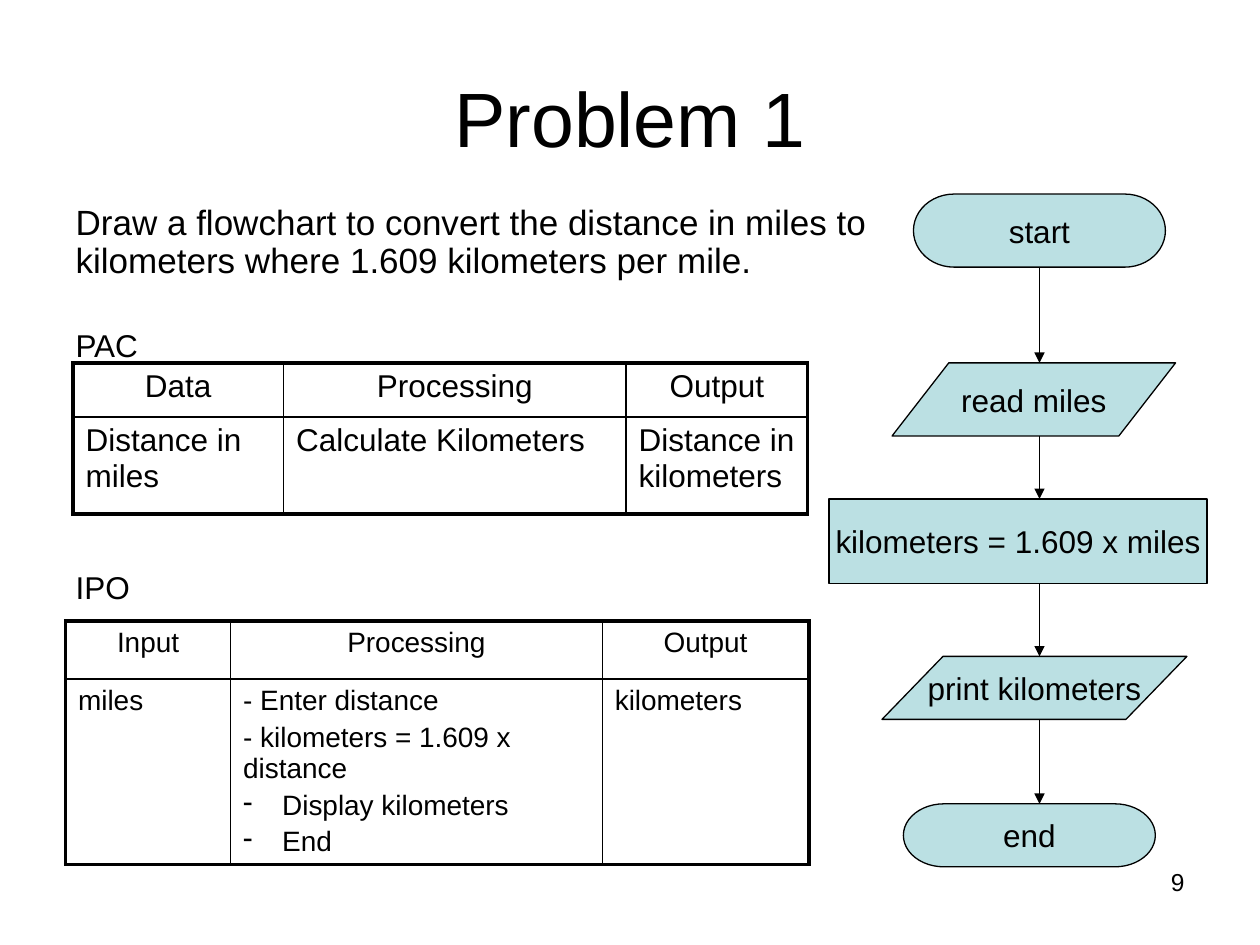
from itertools import pairwise

from lxml.etree import SubElement
from pptx import Presentation
from pptx.dml.color import RGBColor
from pptx.enum.shapes import MSO_CONNECTOR, MSO_SHAPE
from pptx.enum.text import MSO_ANCHOR, MSO_AUTO_SIZE, PP_ALIGN
from pptx.oxml.ns import qn
from pptx.util import Inches, Pt


def color(hex_string):
    return RGBColor.from_string(hex_string)


class SlideBuilder:
    font_name = "Arial"
    ink = "000000"
    box_fill = "BBE0E3"
    thin, thick = 1, 2.25

    def __init__(self, presentation):
        self.slide = presentation.slides.add_slide(presentation.slide_layouts[1])

    def add_text(self, paragraph, text, size, alignment=PP_ALIGN.LEFT, space_before=0):
        paragraph.alignment = alignment
        paragraph.space_before = Pt(space_before)
        run = paragraph.add_run()
        run.text = text
        run.font.size = Pt(size)
        run.font.name = self.font_name
        run.font.color.rgb = color(self.ink)

    def place(self, shape, left, top, width, height):
        shape.left, shape.top = Inches(left), Inches(top)
        shape.width, shape.height = Inches(width), Inches(height)

    def bullet(self, paragraph, indent, character=None):
        """Set a hanging bullet, or no bullet when there is no character."""
        properties = paragraph._p.get_or_add_pPr()
        properties.set("marL", str(Inches(indent)))
        properties.set("indent", str(-Inches(indent)))
        if character:
            SubElement(properties, qn("a:buChar")).set("char", character)
        else:
            SubElement(properties, qn("a:buNone"))

    def title(self, text, *bounds):
        shape = self.slide.shapes.title
        self.place(shape, *bounds)
        shape.text_frame.vertical_anchor = MSO_ANCHOR.MIDDLE
        self.add_text(shape.text_frame.paragraphs[0], text, 44, PP_ALIGN.CENTER)

    def body(self, items, *bounds):
        """Fill the body from (text, size, space before) items."""
        shape = self.slide.placeholders[1]
        self.place(shape, *bounds)
        frame = shape.text_frame
        frame.auto_size = MSO_AUTO_SIZE.NONE
        for index, (text, size, space_before) in enumerate(items):
            paragraph = frame.add_paragraph() if index else frame.paragraphs[0]
            self.bullet(paragraph, 0)
            paragraph.line_spacing = 0.9
            self.add_text(paragraph, text, size, space_before=space_before)

    def slide_number(self, text, *bounds):
        box = self.slide.shapes.add_textbox(*map(Inches, bounds))
        box.text_frame.word_wrap = True
        self.add_text(box.text_frame.paragraphs[0], text, 14, PP_ALIGN.RIGHT)

    def borders(self, cell, widths):
        """Add the left, right, top and bottom lines, which come before the fill."""
        properties = cell._tc.get_or_add_tcPr()
        for index, (side, width) in enumerate(zip("LRTB", widths)):
            line = SubElement(properties, qn(f"a:ln{side}"), w=str(Pt(width)))
            fill = SubElement(line, qn("a:solidFill"))
            SubElement(fill, qn("a:srgbClr"), val=self.ink)
            properties.insert(index, line)

    def table(self, left, top, columns, heights, rows, size):
        """Add a table whose cells are lists of lines; a tab after "-" marks a bullet."""
        frame = self.slide.shapes.add_table(
            len(rows), len(columns), Inches(left), Inches(top),
            Inches(sum(columns)), Inches(sum(heights)))
        table = frame.table
        table.first_row = table.horz_banding = False
        for column, width in zip(table.columns, columns):
            column.width = Inches(width)
        for row, height in zip(table.rows, heights):
            row.height = Inches(height)
        last_row, last_column = len(rows) - 1, len(columns) - 1
        for r, row in enumerate(rows):
            alignment = PP_ALIGN.LEFT if r else PP_ALIGN.CENTER
            for c, lines in enumerate(row):
                cell = table.cell(r, c)
                cell.fill.background()
                outer = (c == 0, c == last_column, r == 0, r == last_row)
                self.borders(cell, [self.thick if edge else self.thin for edge in outer])
                for index, line in enumerate(lines):
                    text_frame = cell.text_frame
                    paragraph = text_frame.add_paragraph() if index else text_frame.paragraphs[0]
                    if line.startswith("-\t"):
                        self.bullet(paragraph, 0.31, "-")
                    self.add_text(paragraph, line.removeprefix("-\t"), size, alignment,
                                  0.2 * size if index else 0)

    def flow_box(self, kind, text, *bounds):
        shape = self.slide.shapes.add_shape(kind, *map(Inches, bounds))
        shape.shadow.inherit = False
        shape.fill.solid()
        shape.fill.fore_color.rgb = color(self.box_fill)
        shape.line.color.rgb = color(self.ink)
        shape.line.width = Pt(0.75)
        shape.text_frame.word_wrap = False
        shape.text_frame.vertical_anchor = MSO_ANCHOR.MIDDLE
        self.add_text(shape.text_frame.paragraphs[0], text, 18, PP_ALIGN.CENTER)
        return shape

    def arrow_down(self, x, start, end):
        arrow = self.slide.shapes.add_connector(
            MSO_CONNECTOR.STRAIGHT, Inches(x), start, Inches(x), end)
        arrow.line.color.rgb = color(self.ink)
        arrow.line.width = Pt(0.75)
        SubElement(arrow.line._get_or_add_ln(), qn("a:tailEnd"), type="triangle")
        SubElement(arrow._element.spPr, qn("a:effectLst"))


def main():
    presentation = Presentation()
    presentation.slide_width, presentation.slide_height = Inches(10), Inches(7.5)
    builder = SlideBuilder(presentation)

    builder.title("Problem 1", 0.5, 0.3, 9, 1.25)
    builder.body([
        ("Draw a flowchart to convert the distance in miles to kilometers "
         "where 1.609 kilometers per mile.", 20, 0),
        ("PAC", 18, 28),
        ("IPO", 18, 119),
    ], 0.5, 1.58, 6.5, 5.12)

    builder.table(0.52, 4.93, [1.31, 2.95, 1.64], [0.46, 1.47], [
        [["Input"], ["Processing"], ["Output"]],
        [["miles"],
         ["- Enter distance", "- kilometers = 1.609 x distance",
          "-\tDisplay kilometers", "-\tEnd"],
         ["kilometers"]],
    ], 16)
    builder.slide_number("9", 7.17, 6.83, 2.33, 0.52)
    builder.table(0.58, 2.88, [1.67, 2.72, 1.44], [0.43, 0.77], [
        [["Data"], ["Processing"], ["Output"]],
        [["Distance in miles"], ["Calculate Kilometers"], ["Distance in kilometers"]],
    ], 18)

    terminator = MSO_SHAPE.FLOWCHART_TERMINATOR
    data = MSO_SHAPE.FLOWCHART_DATA
    steps = [
        (terminator, "start", 7.25, 1.54, 2, 0.58),
        (data, "read miles", 7.08, 2.88, 2.25, 0.58),
        (MSO_SHAPE.FLOWCHART_PROCESS, "kilometers = 1.609 x miles", 6.58, 3.96, 3, 0.67),
        (data, "print kilometers", 7, 5.21, 2.42, 0.5),
        (terminator, "end", 7.17, 6.38, 2, 0.5),
    ]
    boxes = [builder.flow_box(*step) for step in steps]
    for upper, lower in pairwise(boxes):
        builder.arrow_down(8.25, upper.top + upper.height, lower.top)

    presentation.save("out.pptx")


if __name__ == "__main__":
    main()
